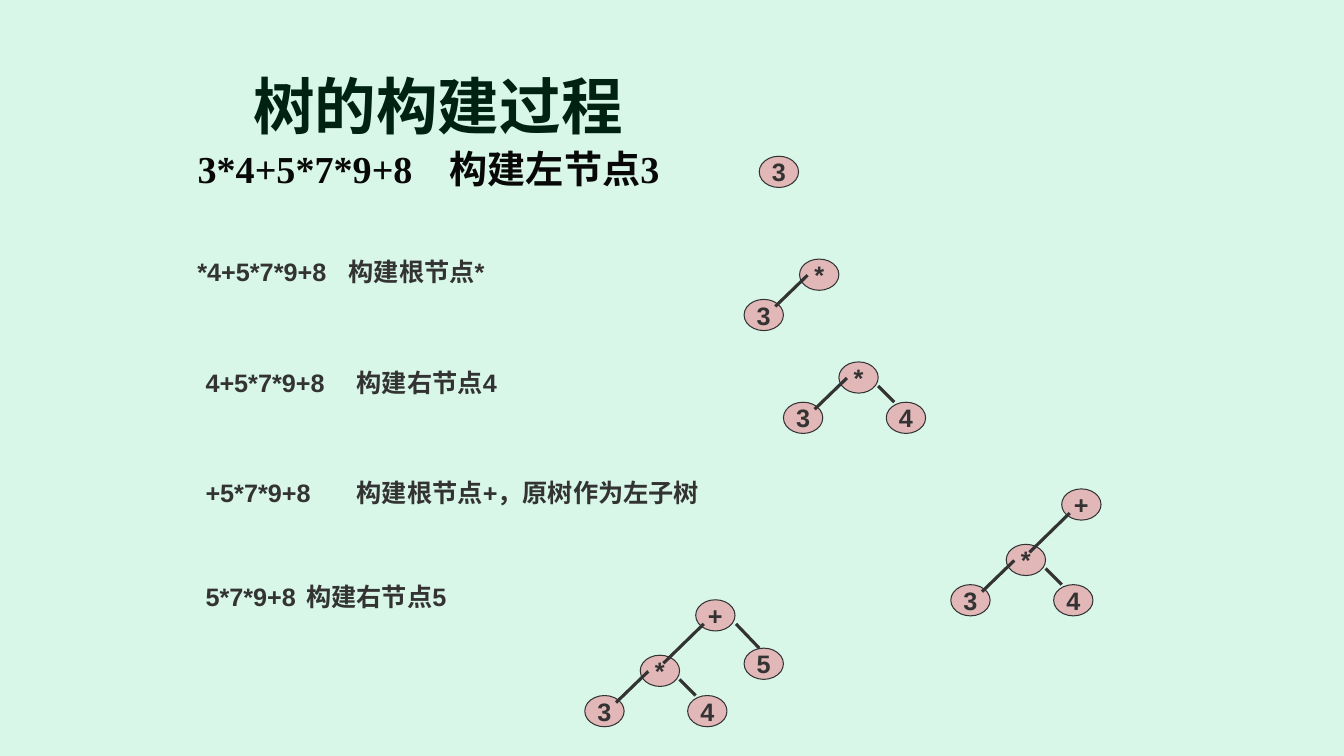
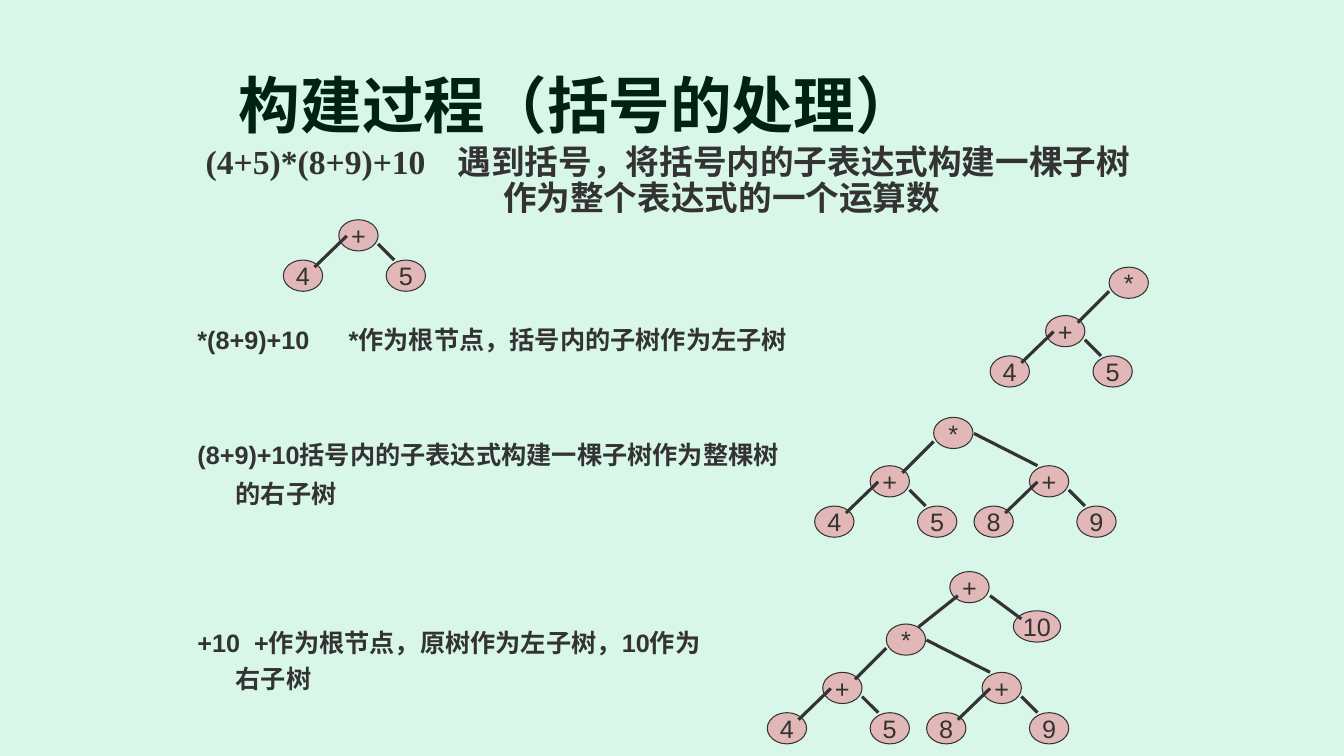
"""Builds two slides on growing expression trees."""
from lxml.etree import SubElement
from pptx import Presentation
from pptx.dml.color import RGBColor
from pptx.enum.shapes import MSO_CONNECTOR, MSO_SHAPE
from pptx.enum.text import MSO_ANCHOR, MSO_AUTO_SIZE, PP_ALIGN
from pptx.oxml.ns import qn
from pptx.util import Inches, Pt

MINT, PINE, INK, COAL, ROSE = "D9F7E9", "002213", "080808", "333333", "E1B7B7"
SERIF, SANS = "Times New Roman", "Arial"

LEAF_L = (-0.55, 0.4, 0.08, 0.16, -0.24, 0.47)
LEAF_R = (0.47, 0.4, 0.39, 0.24, 0.55, 0.4)
STEEP_L = (-0.55, 0.55, 0.08, 0.24, -0.32, 0.63)
STEEP_R = (0.48, 0.48, 0.4, 0.24, 0.63, 0.48)
WIDE_L = (-0.63, 0.48, 0, 0.24, -0.31, 0.55)
WIDE_R = (0.95, 0.48, 0.4, 0.16, 1.03, 0.48)
TOP_L = (-0.63, 0.52, 0.08, 0.24, -0.31, 0.55)
TOP_R = (0.63, 0.39, 0.4, 0.24, 0.71, 0.47)


def tint(code):
    return RGBColor.from_string(code)


def pair(sign, left, right):
    return (sign, (LEAF_L, (left,)), (LEAF_R, (right,)))


class Deck:
    def __init__(self):
        self.file = Presentation()
        self.file.slide_width = Inches(13.33)
        self.file.slide_height = Inches(7.5)
        fill = self.file.slide_master.background.fill
        fill.solid()
        fill.fore_color.rgb = tint(MINT)
        self.slide = None
        self.bold = True

    def start(self, title, box, bold):
        self.slide = self.file.slides.add_slide(self.file.slide_layouts[1])
        self.bold = bold
        frame = self.place(self.slide.shapes.title, box)
        frame.vertical_anchor = MSO_ANCHOR.BOTTOM
        self.phrase(frame.paragraphs[0], title, 44, PINE, SERIF)

    def place(self, shape, box):
        shape.left, shape.top, shape.width, shape.height = map(Inches, box)
        frame = shape.text_frame
        frame.word_wrap = True
        frame.auto_size = MSO_AUTO_SIZE.NONE
        frame.vertical_anchor = MSO_ANCHOR.TOP
        return frame

    def style(self, font, size, color, face, bold=True):
        font.size, font.name, font.bold = Pt(size), face, bold
        font.color.rgb = tint(color)

    def phrase(self, para, text, size, color, face, tab=0, lead=0, hang=0, space=1.0):
        para.text = text
        para.alignment = PP_ALIGN.LEFT
        props = para._p.get_or_add_pPr()
        props.set("marL", str(Inches(lead)))
        props.set("indent", str(Inches(-hang)))
        SubElement(props, qn("a:buNone"))
        if tab:
            stops = SubElement(props, qn("a:tabLst"))
            SubElement(stops, qn("a:tab"), pos=str(Inches(tab)), algn="l")
        para.space_before = Pt(0)
        para.line_spacing = space
        self.style(para.font, size, color, face)

    def body(self, box, lines, size, color, space=1.0):
        frame = self.place(self.slide.placeholders[1], box)
        for i, (text, tab, lead) in enumerate(lines):
            para = frame.add_paragraph() if i else frame.paragraphs[0]
            self.phrase(para, text, size, color, SERIF, tab, lead, space=space)

    def step(self, box, text, tab=0, hang=0, space=1.0):
        frame = self.place(self.slide.shapes.add_textbox(0, 0, 0, 0), box)
        self.phrase(frame.paragraphs[0], text, 18, COAL, SANS, tab, hang, hang, space)

    def node(self, group, x, y, sign):
        width = 0.47 if len(sign) > 1 else 0.39
        oval = group.shapes.add_shape(MSO_SHAPE.OVAL, *map(Inches, (x, y, width, 0.31)))
        oval.shadow.inherit = False
        oval.fill.solid()
        oval.fill.fore_color.rgb = tint(ROSE)
        oval.line.color.rgb = tint(COAL)
        oval.line.width = Pt(0.75)
        frame = oval.text_frame
        frame.word_wrap = False
        frame.vertical_anchor = MSO_ANCHOR.MIDDLE
        para = frame.paragraphs[0]
        para.text = sign
        para.alignment = PP_ALIGN.CENTER
        self.style(para.font, 18, COAL, SANS, self.bold)

    def link(self, group, *ends):
        line = group.shapes.add_connector(MSO_CONNECTOR.STRAIGHT, *map(Inches, ends))
        line.line.color.rgb = tint(COAL)
        line.line.width = Pt(2.25)
        SubElement(line._element.spPr, qn("a:effectLst"))

    def grow(self, x, y, tree, group=None):
        group = group or self.slide.shapes.add_group_shape()
        sign, *arms = tree
        self.node(group, x, y, sign)
        for (dx, dy, ax, ay, bx, by), child in arms:
            self.grow(x + dx, y + dy, child, group)
            self.link(group, x + ax, y + ay, x + bx, y + by)


def main():
    deck = Deck()
    deck.start("树的构建过程", (2.41, 0.21, 8.5, 1.25), True)
    deck.body((1.86, 1.39, 4.96, 0.64), [("3*4+5*7*9+8\t构建左节点3", 2.51, 0)], 27.2, INK)
    for x, y, width, text, tab in (
        (1.86, 2.49, 4.96, "*4+5*7*9+8\t构建根节点*", 1.54),
        (1.94, 3.59, 4.96, "4+5*7*9+8\t构建右节点4", 1.44),
        (1.94, 4.69, 7.64, "+5*7*9+8\t构建根节点+，原树作为左子树", 1.3),
        (1.94, 5.72, 4.96, "5*7*9+8\t构建右节点5", 1.15),
    ):
        deck.step((x, y, width, 0.64), text, tab)
    times = pair("*", "3", "4")
    deck.grow(7.53, 1.55, ("3",))
    deck.grow(7.93, 2.57, ("*", (LEAF_L, ("3",))))
    deck.grow(8.32, 3.59, times)
    deck.grow(10.53, 4.85, ("+", (STEEP_L, times)))
    deck.grow(6.9, 5.95, ("+", (STEEP_L, times), (STEEP_R, ("5",))))

    deck.start("构建过程（括号的处理）", (2.27, 0.58, 8.5, 0.87), False)
    deck.body((1.94, 1.39, 9.49, 1.18), [
        ("(4+5)*(8+9)+10\t遇到括号，将括号内的子表达式构建一棵子树", 2.43, 0),
        ("作为整个表达式的一个运算数", 0, 2.95),
    ], 24, COAL, 0.9)
    deck.step((1.86, 3.2, 7.95, 0.63), "*(8+9)+10\t*作为根节点，括号内的子树作为左子树",
              tab=1.25, space=0.9)
    deck.step((1.86, 4.22, 5.98, 0.63), "(8+9)+10括号内的子表达式构建一棵子树作为整棵树的右子树",
              hang=0.38, space=1.3)
    deck.step((1.86, 6.11, 5.35, 0.63), "+10  +作为根节点，原树作为左子树，10作为右子树",
              hang=0.38, space=1.2)
    left, right = pair("+", "4", "5"), pair("+", "8", "9")
    both = ("*", (WIDE_L, left), (WIDE_R, right))
    deck.grow(3.36, 2.18, left)
    deck.grow(11, 2.65, ("*", (WIDE_L, left)))
    deck.grow(9.26, 4.14, both)
    deck.grow(9.42, 5.67, ("+", (TOP_L, both), (TOP_R, ("10",))))
    deck.file.save("out.pptx")


if __name__ == "__main__":
    main()
